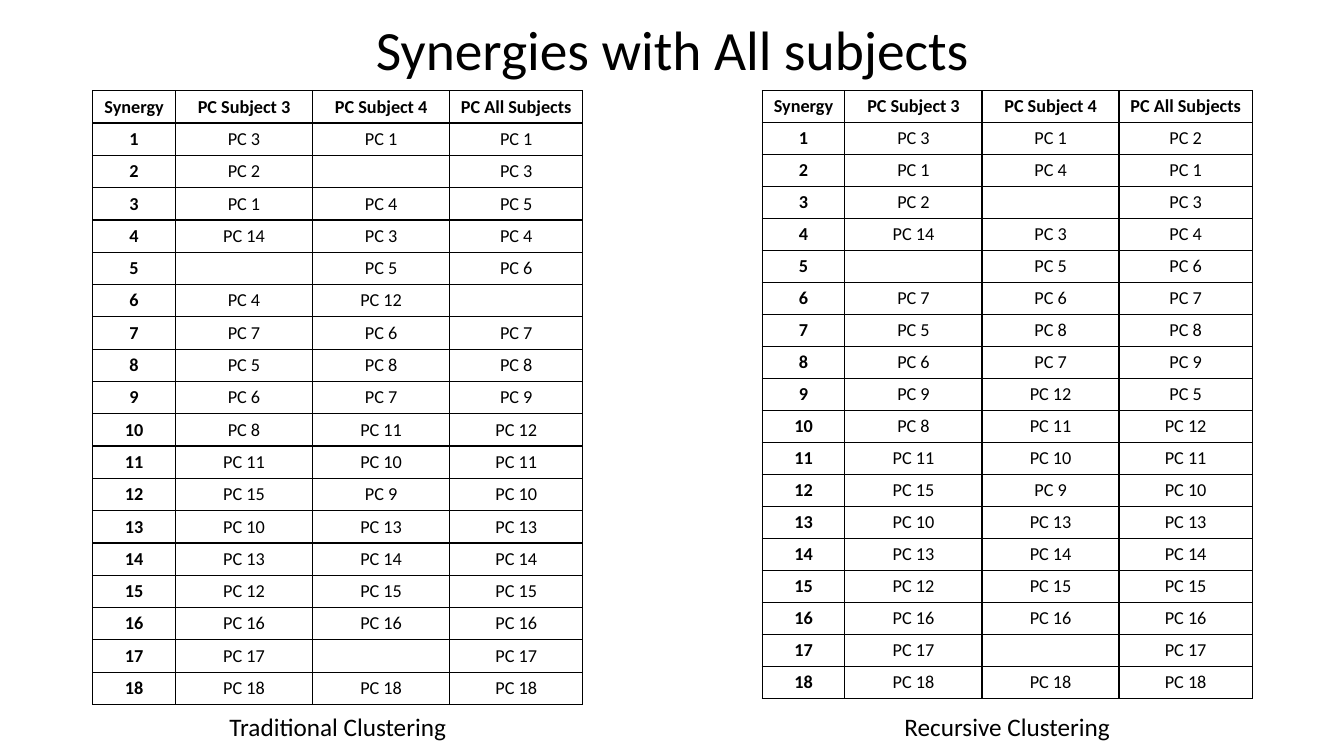
"""Build a slide with two tables of synergies, one for each way of clustering."""
from lxml import etree
from pptx import Presentation
from pptx.dml.color import RGBColor
from pptx.enum.text import MSO_ANCHOR, PP_ALIGN
from pptx.oxml.ns import qn
from pptx.util import Inches, Pt

MID = MSO_ANCHOR.MIDDLE
TOP = MSO_ANCHOR.TOP
CENTER = PP_ALIGN.CENTER
BLACK = RGBColor(0, 0, 0)
FONT = "Calibri"
WIDE, HIGH = 13.33, 7.5

TITLE = "Synergies with All subjects"
HEADS = ("Synergy", "PC Subject 3", "PC Subject 4", "PC All Subjects")
TAIL = [(8, 11, 12), (11, 10, 11), (15, 9, 10), (10, 13, 13), (13, 14, 14),
        (12, 15, 15), (16, 16, 16), (17, None, 17), (18, 18, 18)]
TABLES = [
    {"name": "Traditional Clustering", "left": 0.92, "high": 6.09,
     "rows": [(3, 1, 1), (2, None, 3), (1, 4, 5), (14, 3, 4), (None, 5, 6),
              (4, 12, None), (7, 6, 7), (5, 8, 8), (6, 7, 9)] + TAIL},
    {"name": "Recursive Clustering", "left": 7.56, "high": 6.03,
     "rows": [(3, 1, 2), (1, 4, 1), (2, None, 3), (14, 3, 4), (None, 5, 6),
              (7, 6, 7), (5, 8, 8), (6, 7, 9), (9, 12, 5)] + TAIL},
]
COLS = (0.82, 1.36, 1.36, 1.32)
TABLE_TOP = 0.12 * HIGH
LABEL_TOP, LABEL_WIDE = 7.01, 2.39
SIZE = 13


def add_run(para, text, size, bold=False):
    para.alignment = CENTER
    run = para.add_run()
    run.text = text
    font = run.font
    font.name, font.size, font.bold = FONT, Pt(size), bold
    font.color.rgb = BLACK


def add_text(slide, text, box, size, anchor, space=1.0):
    frame = slide.shapes.add_textbox(*map(Inches, box)).text_frame
    frame.word_wrap = True
    frame.vertical_anchor = anchor
    para = frame.paragraphs[0]
    para.line_spacing = space
    add_run(para, text, size)


def add_lines(cell):
    props = cell._tc.get_or_add_tcPr()
    for side in ("L", "R", "T", "B"):
        line = etree.SubElement(props, qn("a:ln" + side), w=str(Pt(1)))
        fill = etree.SubElement(line, qn("a:solidFill"))
        etree.SubElement(fill, qn("a:srgbClr"), val=str(BLACK))


def fill_cell(cell, text, bold):
    add_lines(cell)
    cell.fill.background()
    cell.vertical_anchor = MID
    cell.margin_left = cell.margin_right = Inches(0.05)
    cell.margin_top = cell.margin_bottom = Inches(0.04)
    para = cell.text_frame.paragraphs[0]
    if text:
        add_run(para, text, SIZE, bold)
    else:
        etree.SubElement(para._p, qn("a:endParaRPr"), sz=str(SIZE * 100))


def add_grid(slide, data):
    rows = [HEADS]
    for num, row in enumerate(data["rows"], 1):
        rows.append((str(num), *(f"PC {pc}" if pc else "" for pc in row)))
    box = (data["left"], TABLE_TOP, sum(COLS), data["high"])
    grid = slide.shapes.add_table(len(rows), len(COLS), *map(Inches, box)).table
    grid.first_row = grid.horz_banding = False
    for col, wide in zip(grid.columns, COLS):
        col.width = Inches(wide)
    for r, row in enumerate(rows):
        grid.rows[r].height = Inches(data["high"] / len(rows))
        for c, text in enumerate(row):
            fill_cell(grid.cell(r, c), text, r == 0 or c == 0)


def main():
    deck = Presentation()
    deck.slide_width, deck.slide_height = Inches(WIDE), Inches(HIGH)
    slide = deck.slides.add_slide(deck.slide_layouts[6])
    add_text(slide, TITLE, (0.92, 0.26, 11.5, 0.53), 39.6, MID, 0.9)
    for data in TABLES:
        add_grid(slide, data)
        left = data["left"] + (sum(COLS) - LABEL_WIDE) / 2
        add_text(slide, data["name"], (left, LABEL_TOP, LABEL_WIDE, 0.4), 18, TOP)
    deck.save("out.pptx")


if __name__ == "__main__":
    main()
